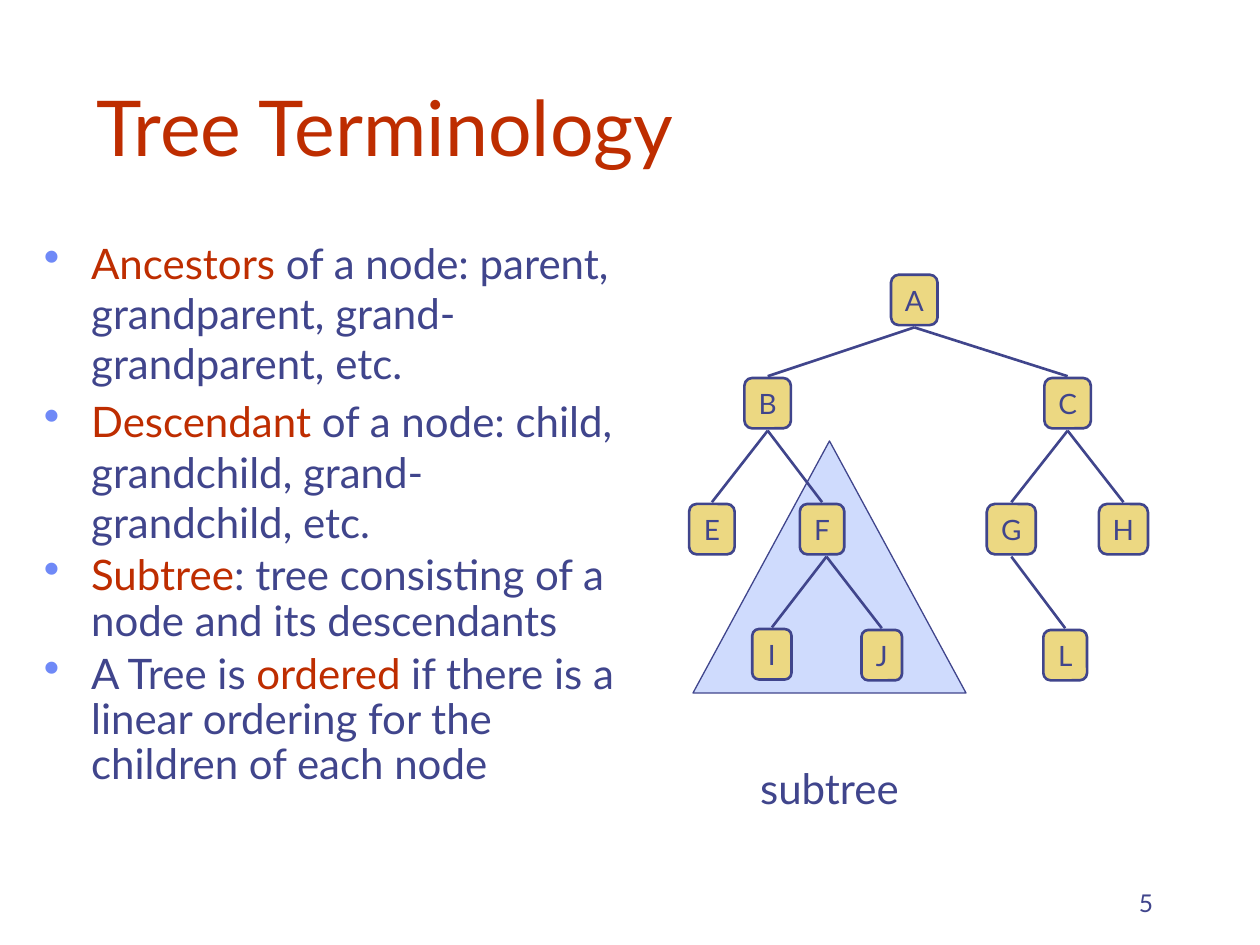
from lxml import etree
from pptx import Presentation
from pptx.dml.color import RGBColor
from pptx.enum import shapes as es, text as et
from pptx.oxml.ns import qn
from pptx.util import Pt

NAVY = RGBColor(0x40, 0x45, 0x8C)
RUST = RGBColor(0xBE, 0x2D, 0x00)
GOLD = RGBColor(0xEC, 0xD8, 0x82)
PALE = RGBColor(0xCF, 0xDB, 0xFD)
BLUE = RGBColor(0x6F, 0x89, 0xF7)


def style(para, size, color, align=et.PP_ALIGN.LEFT):
    para.alignment = align
    for run in para.runs:
        run.font.name = "Lato"
        run.font.size = Pt(size)
        run.font.color.rgb = color


def block(kind, left, top, width, height, fill, weight):
    shape = slide.shapes.add_shape(kind, Pt(left), Pt(top), Pt(width), Pt(height))
    shape.shadow.inherit = False
    shape.fill.solid()
    shape.fill.fore_color.rgb = fill
    shape.line.color.rgb = NAVY
    shape.line.width = Pt(weight)
    shape.text_frame.word_wrap = False
    return shape


deck = Presentation()
deck.slide_width, deck.slide_height = Pt(720), Pt(540)
slide = deck.slides.add_slide(deck.slide_layouts[5])

title = slide.shapes.title
title.left, title.top, title.width, title.height = Pt(48), Pt(12), Pt(612), Pt(90)
frame = title.text_frame
frame.text = "Tree Terminology"
frame.auto_size = et.MSO_AUTO_SIZE.NONE
frame.vertical_anchor = et.MSO_ANCHOR.BOTTOM
style(frame.paragraphs[0], 44, RUST)

number = slide.shapes.add_textbox(Pt(516), Pt(492), Pt(150), Pt(36))
frame = number.text_frame
frame.word_wrap = True
frame.vertical_anchor = et.MSO_ANCHOR.BOTTOM
frame.text = "5"
style(frame.paragraphs[0], 14, NAVY, et.PP_ALIGN.RIGHT)

points = [
    ("", "Ancestors", " of a node: parent, grandparent, grand-grandparent, etc.", 1.0),
    ("", "Descendant", " of a node: child, grandchild, grand-grandchild, etc.", 1.0),
    ("", "Subtree", ": tree consisting of a node and its descendants", 0.9),
    ("A Tree is ", "ordered", " if there is a linear ordering for the children of each node", 0.9),
]
body = slide.shapes.add_textbox(Pt(18), Pt(132), Pt(342), Pt(360))
frame = body.text_frame
frame.word_wrap = True
for i, (lead, term, rest, pitch) in enumerate(points):
    para = frame.add_paragraph() if i else frame.paragraphs[0]
    props = para._p.get_or_add_pPr()
    props.set("marL", str(Pt(27)))
    props.set("indent", str(Pt(-27)))
    tint = etree.SubElement(props, qn("a:buClr"))
    etree.SubElement(tint, qn("a:srgbClr"), val=str(BLUE))
    etree.SubElement(props, qn("a:buSzPct"), val="110000")
    etree.SubElement(props, qn("a:buChar"), char="•")
    para.line_spacing = pitch
    para.space_before = Pt(4.3 if i else 0)
    for part in filter(None, (lead, term, rest)):
        para.add_run().text = part
    style(para, 24, NAVY)
    para.runs[1 if lead else 0].font.color.rgb = RUST

cone = block(es.MSO_SHAPE.ISOSCELES_TRIANGLE, 396, 252, 156, 144, PALE, 0.75)
frame = cone.text_frame
frame.vertical_anchor = et.MSO_ANCHOR.BOTTOM
frame.margin_top, frame.margin_bottom = Pt(208.8), Pt(0)
frame.text = "subtree"
style(frame.paragraphs[0], 24, NAVY, et.PP_ALIGN.CENTER)

nodes = {
    "A": (522.5, 157, 26.6), "B": (438.7, 216, 26.6), "C": (610.1, 216, 26.6),
    "E": (406.8, 288, 26), "F": (469.8, 288, 25.4), "G": (577.9, 288, 28),
    "H": (642, 288, 28), "I": (441.1, 359.5, 22.4), "J": (503.9, 360, 23.2),
    "L": (608.7, 360, 25),
}
TALL = 28.8
for name, (mid, top, wide) in nodes.items():
    node = block(es.MSO_SHAPE.ROUNDED_RECTANGLE, mid - wide / 2, top, wide, TALL, GOLD, 1.5)
    frame = node.text_frame
    frame.vertical_anchor = et.MSO_ANCHOR.MIDDLE
    frame.text = name
    style(frame.paragraphs[0], 16, NAVY, et.PP_ALIGN.CENTER)

for head, child in ("AB", "AC", "BE", "BF", "CG", "CH", "FI", "FJ", "GL"):
    x, y, _ = nodes[head]
    if head == "F":
        x += 2.5
    to, end, _ = nodes[child]
    edge = slide.shapes.add_connector(
        es.MSO_CONNECTOR.STRAIGHT, Pt(x), Pt(y + TALL + 1.3), Pt(to), Pt(end - 1))
    edge.line.color.rgb = NAVY
    edge.line.width = Pt(1.5)
    etree.SubElement(edge._element.spPr, qn("a:effectLst"))

deck.save("out.pptx")
